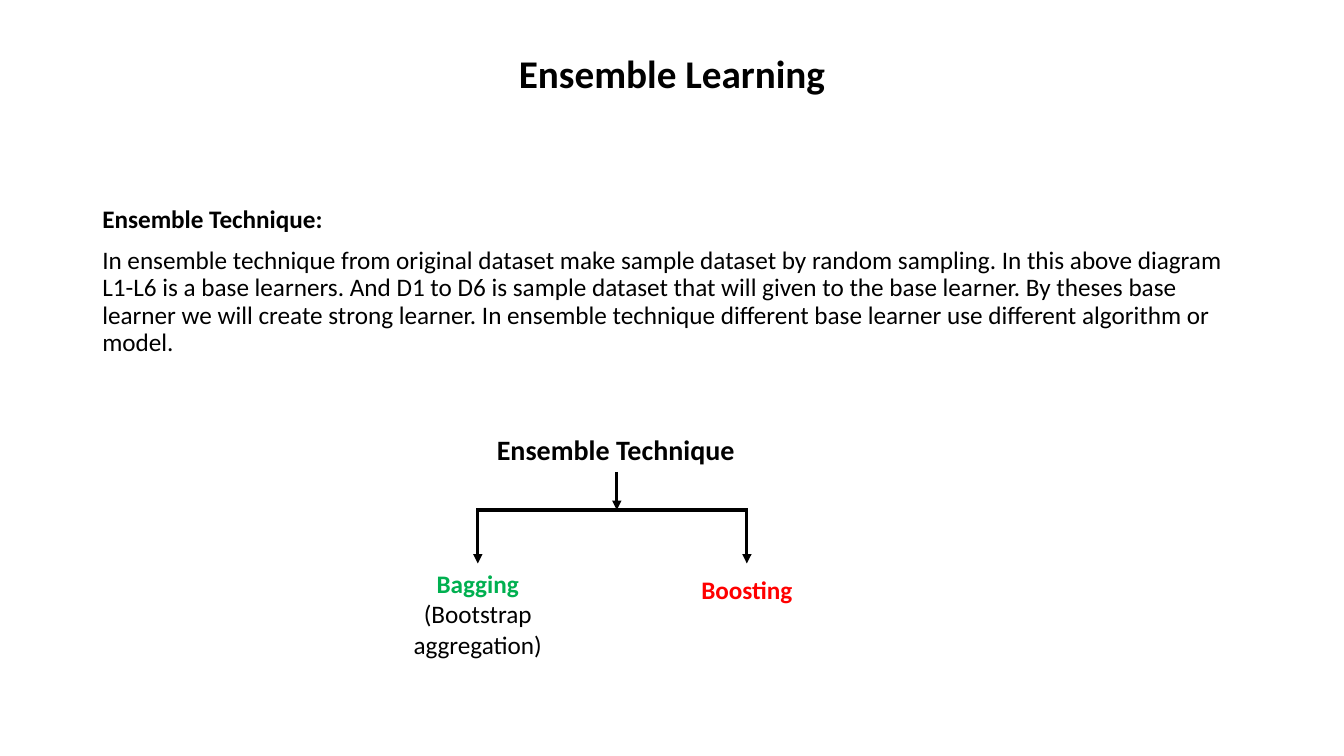
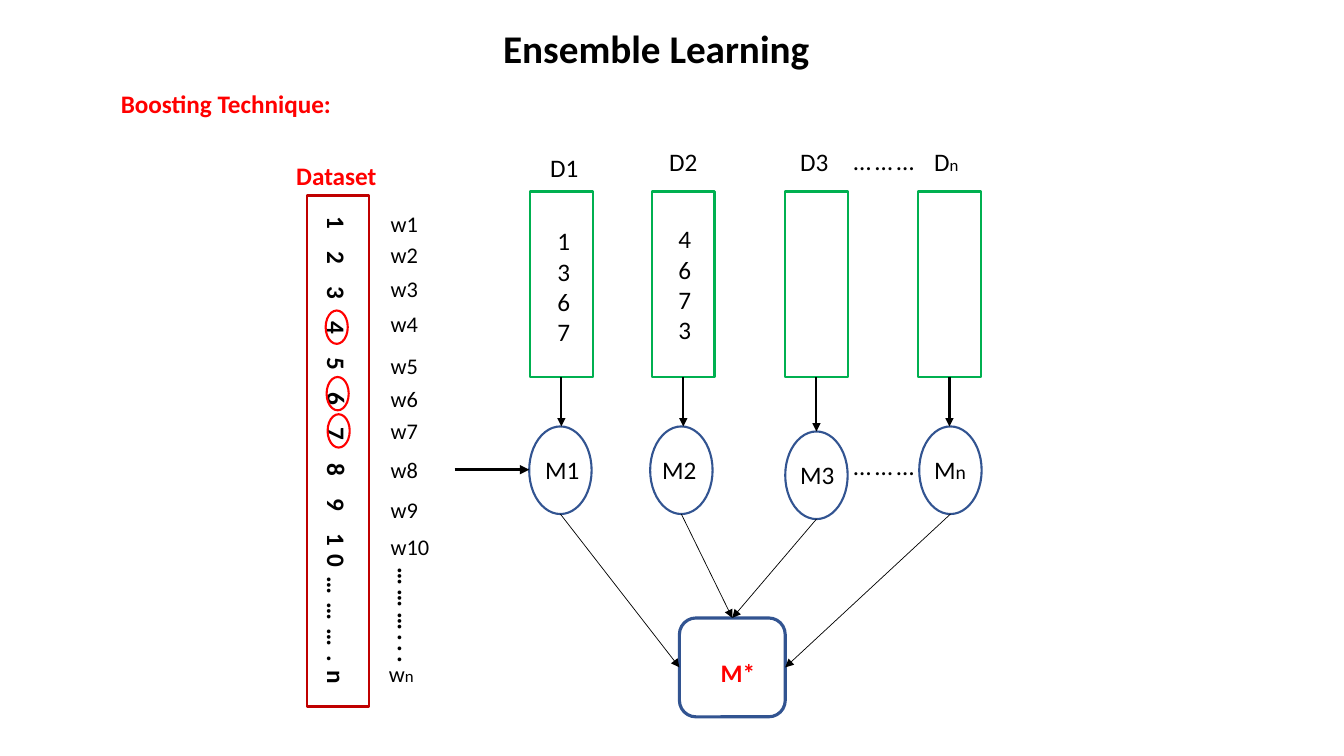
from lxml import etree
from pptx import Presentation
from pptx.dml.color import RGBColor
from pptx.enum.shapes import MSO_CONNECTOR, MSO_SHAPE
from pptx.enum.text import MSO_ANCHOR, MSO_AUTO_SIZE, PP_ALIGN
from pptx.oxml.ns import qn
from pptx.util import Pt

BLACK = RGBColor(0x00, 0x00, 0x00)
RED = RGBColor(0xFF, 0x00, 0x00)
DARK_RED = RGBColor(0xC0, 0x00, 0x00)
GREEN = RGBColor(0x00, 0xB0, 0x50)
BLUE = RGBColor(0x32, 0x54, 0x91)

STRAIGHT = MSO_CONNECTOR.STRAIGHT
RECT, ELLIPSE, ROUNDED = MSO_SHAPE.RECTANGLE, MSO_SHAPE.OVAL, MSO_SHAPE.ROUNDED_RECTANGLE
LEFT, CENTER = PP_ALIGN.LEFT, PP_ALIGN.CENTER
TOP, MIDDLE = MSO_ANCHOR.TOP, MSO_ANCHOR.MIDDLE
FIT, FIXED = MSO_AUTO_SIZE.SHAPE_TO_FIT_TEXT, MSO_AUTO_SIZE.NONE

FONT = "Calibri"
TITLE_FMT = {"size": Pt(28), "bold": True}
TEXT_FMT = {"size": Pt(18), "bold": False}
BOLD_FMT = {"size": Pt(18), "bold": True}
ROOT_FMT = {"size": Pt(20), "bold": True}
WEIGHT_FMT = {"size": Pt(16), "bold": False}
SMALL_FMT = {"size": Pt(12), "bold": False}
INDEX_FMT = {"size": Pt(14), "bold": False}
BODY_PARA = {"line_spacing": 0.9, "space_before": Pt(10)}
DOTS = "………"
LINE_H = 28.8


# Basic parts
def add_text(s, box, paras, wrap=False, align=LEFT, anchor=TOP, fit=FIT, para_fmt=None, spacing=0):
    """Each paragraph is a list of runs: (text, format, colour)."""
    tb = s.shapes.add_textbox(*map(Pt, box))
    tf = tb.text_frame
    tf.word_wrap, tf.auto_size, tf.vertical_anchor = wrap, fit, anchor
    for i, runs in enumerate(paras):
        p = tf.paragraphs[0] if i == 0 else tf.add_paragraph()
        for key, value in {"alignment": align, **(para_fmt or {})}.items():
            setattr(p, key, value)
        for text, fmt, color in runs:
            r = p.add_run()
            r.text = text
            for key, value in {"name": FONT, **fmt}.items():
                setattr(r.font, key, value)
            r.font.color.rgb = color
            if spacing:
                r._r.get_or_add_rPr().set("spc", str(spacing * 100))
    return tb


def add_label(s, box, text, fmt=TEXT_FMT, color=BLACK, **options):
    return add_text(s, box, [[(text, fmt, color)]], **options)


def add_outline(s, kind, box, color, width=1.5):
    sp = s.shapes.add_shape(kind, *map(Pt, box))
    sp.shadow.inherit = False
    sp.fill.background()
    sp.line.color.rgb = color
    sp.line.width = Pt(width)


def add_line(s, start, end, width, arrow=True):
    c = s.shapes.add_connector(STRAIGHT, *map(Pt, (*start, *end)))
    c.line.color.rgb = BLACK
    c.line.width = Pt(width)
    if arrow:
        etree.SubElement(c.line._get_or_add_ln(), qn("a:tailEnd"), type="triangle")
    etree.SubElement(c._element.spPr, qn("a:effectLst"))


def add_title(s, x, y):
    add_label(s, (x, y, 828, 49), "Ensemble Learning", TITLE_FMT, wrap=True, align=CENTER,
              anchor=MIDDLE, fit=FIXED, para_fmt={"line_spacing": 0.9})


def add_body(s, box, paras):
    add_text(s, box, paras, wrap=True, fit=FIXED, para_fmt=BODY_PARA)


# Tree of the two techniques
def add_tree(s, box):
    x, y, w, h = box
    stem, bar_y, leaf_y = x + 99.3, y + 59, y + 97.2
    add_label(s, (x + 6.5, y, 185.8, 31.7), "Ensemble Technique", ROOT_FMT)
    add_line(s, (stem, y + 31.7), (stem, bar_y), 2.25)
    add_line(s, (x, bar_y), (x + w, bar_y), 2.25, arrow=False)
    leaves = [
        (x, 0, h - 97.2, [("Bagging", BOLD_FMT, GREEN),
                          (" (Bootstrap aggregation)", TEXT_FMT, BLACK)]),
        (x + w, 4.3, LINE_H, [("Boosting", BOLD_FMT, RED)]),
    ]
    for cx, drop, leaf_h, runs in leaves:
        add_line(s, (cx, bar_y - 1.4), (cx, leaf_y), 2.25)
        add_text(s, (cx - 54.4, leaf_y + drop, 108.7, leaf_h), [runs], wrap=True, align=CENTER)


# Dataset column with its circled samples
def add_dataset(s, box):
    x, y, w, h = box
    add_label(s, (x - 14.5, y - 28.8, 72.7, LINE_H), "Dataset", BOLD_FMT, RED)
    add_outline(s, RECT, box, DARK_RED)
    text_w = 357.8
    tb = add_label(s, (x + (w - text_w) / 2 - 0.5, y + (h - LINE_H) / 2 + 4, text_w, LINE_H),
                   "1 2 3 4 5 6 7 8 9 10" + DOTS + ".n", BOLD_FMT, wrap=True, spacing=6)
    tb.rotation = 90
    for dx, dy in [(13.6, 82.1), (14.3, 129.6), (15, 156.2)]:
        add_outline(s, ELLIPSE, (x + dx, y + dy, 15.8, 23.8), RED)


# Weights beside the dataset
def add_weights(s, x, y):
    offsets = [0, 21.6, 46.1, 71.3, 100.8, 124.5, 147.6, 175.7, 203.7, 230.4]
    for i, dy in enumerate(offsets, 1):
        add_label(s, (x, y + dy, 42.5 if i == 10 else 34.6, 26.6), f"w{i}", WEIGHT_FMT)
    tb = add_label(s, (x - 23.6, y + 280.1, 85.7, LINE_H), DOTS + "...", BOLD_FMT, spacing=3)
    tb.rotation = 90
    add_text(s, (x - 1.3, y + 321.1, 32.4, 26.6),
             [[("w", WEIGHT_FMT, BLACK), ("n", SMALL_FMT, BLACK)]])


# One sample set feeding one model; returns the foot of the model
def add_learner(s, box, index, samples, sample_at, d_at, m_at, model_at):
    x, y, w, h = box
    d_dx, d_dy = d_at
    m_dx, m_w = m_at
    model_dx, model_dy = model_at
    model_y = y + h + 35.3 + model_dy
    d_runs, m_runs = [("D", TEXT_FMT, BLACK)], [("M", TEXT_FMT, BLACK)]
    d_runs.append((index, SMALL_FMT if index == "n" else TEXT_FMT, BLACK))
    m_runs.append((index, INDEX_FMT if index == "n" else TEXT_FMT, BLACK))

    add_outline(s, RECT, box, GREEN)
    add_text(s, (x + d_dx, y - 36 + d_dy, m_w - 4.3, LINE_H), [d_runs])
    if samples:
        dx, dy = sample_at
        add_text(s, (x + dx, y + dy, 29.5, 94.3),
                 [[(n, TEXT_FMT, BLACK)] for n in samples], spacing=6)
    add_outline(s, ELLIPSE, (x + model_dx, model_y, w, 62.6), BLUE)
    add_text(s, (x + m_dx, model_y + 16.5, m_w, LINE_H), [m_runs])
    add_line(s, (x + w / 2, y + h), (x + w / 2, model_y), 1.5)
    return x + model_dx + w / 2, model_y + 62.6


# Row of learners joined into the strong model
def add_learners(s, x, y):
    learners = [
        (0, "1", "1367", (12.3, 20.9), (7.2, 4.3), (3.6, 39.6), (-0.7, 0)),
        (87.1, "2", "4673", (11.6, 19.4), (5.1, 0), (0, 39.6), (-1.4, 0)),
        (182.2, "3", "", (0, 0), (3.6, 0), (3.6, 39.6), (0, 3.6)),
        (277.2, "n", "", (0, 0), (4.3, 0), (4.3, 37.4), (0.7, 0)),
    ]
    feet = [add_learner(s, (x + dx, y, 44.6, 132.5), *parts) for dx, *parts in learners]
    for dots_y in (y - 36.7, y + 181.4):
        add_label(s, (x + 223.9, dots_y, 61.2, LINE_H), DOTS, spacing=3)

    strong_x, strong_y, strong_w, strong_h = x + 106.6, y + 304.6, 75.6, 70.6
    add_outline(s, ROUNDED, (strong_x, strong_y, strong_w, strong_h), BLUE, 2.25)
    add_label(s, (strong_x + 22.3, strong_y + 24.4, 38.9, LINE_H), "M*", BOLD_FMT, RED)
    mid_y = strong_y + strong_h / 2
    top = (strong_x + strong_w / 2, strong_y)
    for foot, end in zip(feet, [(strong_x, mid_y), top, top, (strong_x + strong_w, mid_y)]):
        add_line(s, foot, end, 0.5)
    add_line(s, (x - 54, y + 198.7), (x - 0.7, y + 198.7), 2.25)


def technique_slide(s):
    add_title(s, 66, 29.5)
    add_body(s, (66, 144, 828, 126), [
        [("Ensemble Technique:", BOLD_FMT, BLACK)],
        [("In ensemble technique from original dataset make sample dataset by random sampling. "
          "In this above diagram L1-L6 is a base learners. And D1 to D6 is sample dataset that "
          "will given to the base learner. By theses base learner we will create strong learner. "
          "In ensemble technique different base learner use different algorithm or model.",
          TEXT_FMT, BLACK)],
    ])
    add_tree(s, (341.3, 305.3, 192.2, 169.9))


def boosting_slide(s):
    add_title(s, 54.7, 11.5)
    add_body(s, (79.2, 62, 188.6, 32.4), [[("Boosting Technique:", BOLD_FMT, RED)]])
    add_dataset(s, (219, 139.7, 44.6, 365))
    add_weights(s, 272, 146.9)
    add_learners(s, 378.7, 136.8)


prs = Presentation()
prs.slide_width, prs.slide_height = Pt(960), Pt(540)
for build in (technique_slide, boosting_slide):
    build(prs.slides.add_slide(prs.slide_layouts[6]))
prs.save("out.pptx")
